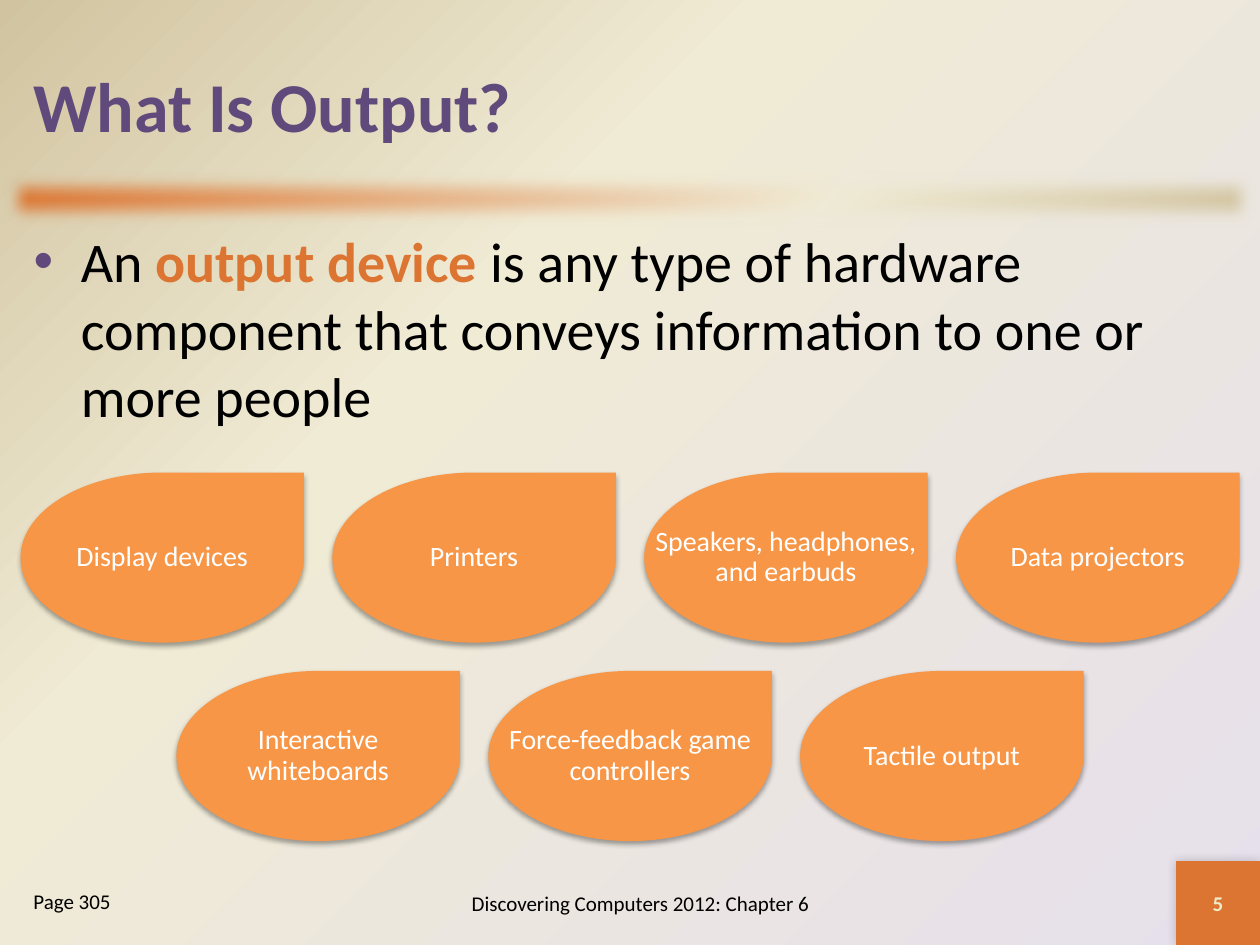
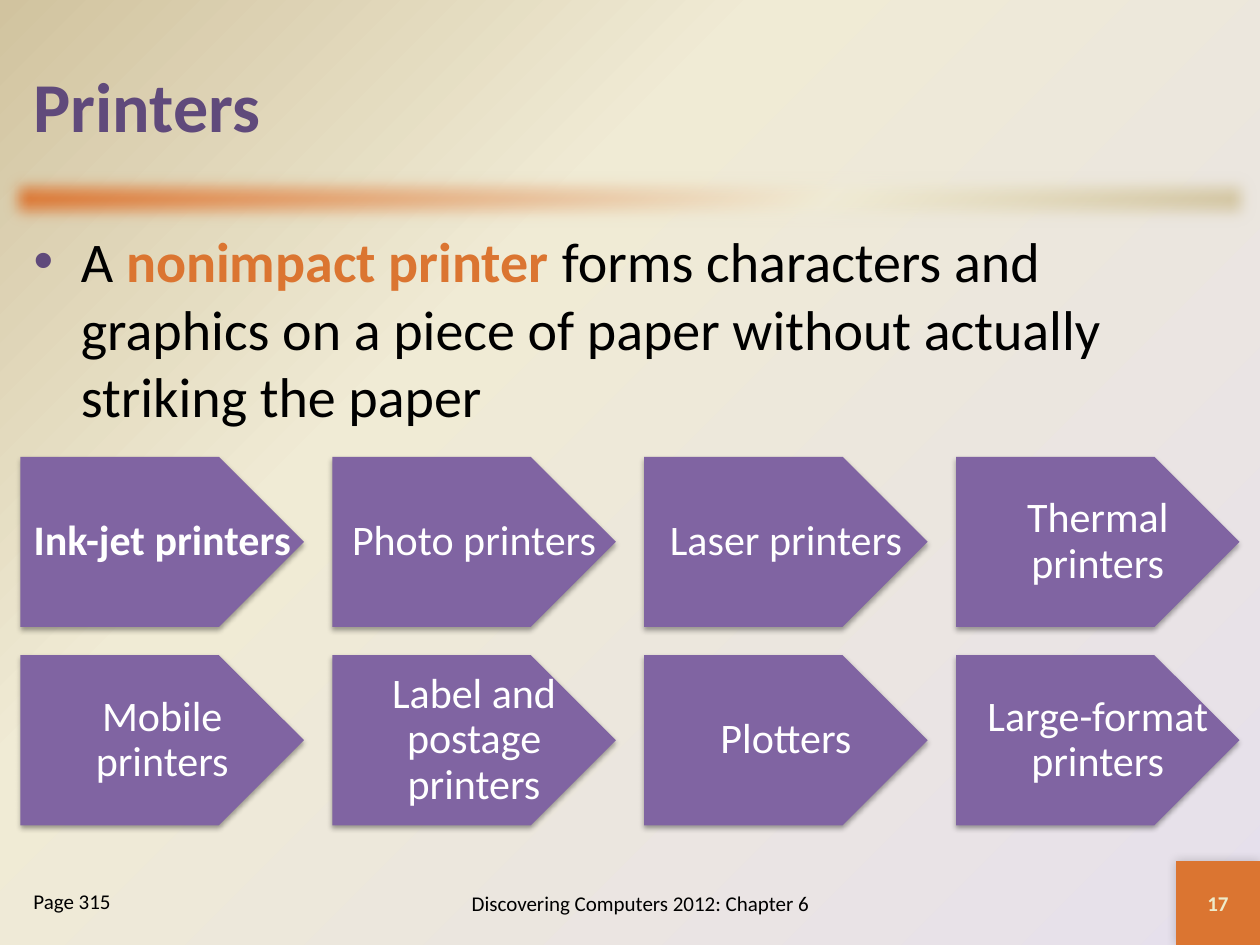
from lxml import etree
from pptx import Presentation
from pptx.dml.color import RGBColor
from pptx.enum.shapes import MSO_SHAPE
from pptx.enum.text import MSO_ANCHOR, MSO_AUTO_SIZE, PP_ALIGN
from pptx.oxml import parse_xml
from pptx.oxml.ns import nsdecls, qn
from pptx.util import Pt

COLORS = {
    "heading": "604A7B",
    "accent": "DB7531",
    "cream": "F0EBD5",
    "sand": "D1C39F",
    "lilac": "E6E0EC",
    "text": "000000",
    "page_number": "EEEBCA",
    "orange": "F79646",
    "purple": "8064A2",
    "white": "FFFFFF",
}
SLIDE_WIDTH, SLIDE_HEIGHT = 720, 540
CARD_WIDTH, CARD_HEIGHT = 162, 97.2
CARD_GAP = 16.2
MARGIN = 12
CORNER = 48
FOOTER = "Discovering Computers 2012: Chapter 6"

topics = [
    {
        "title": "What Is Output?",
        "definition": ("An ", "output device ",
                       "is any type of hardware component that conveys "
                       "information to one or more people"),
        "page": "Page 305",
        "number": "5",
        "card": MSO_SHAPE.TEAR,
        "fill": "orange",
        "top": 270,
        "size": 16,
        "inset": 5,
        "current": None,
        "rows": [
            ["Display devices", "Printers",
             "Speakers, headphones, and earbuds", "Data projectors"],
            ["Interactive whiteboards", "Force-feedback game controllers",
             "Tactile output"],
        ],
    },
    {
        "title": "Printers",
        "definition": ("A ", "nonimpact printer ",
                       "forms characters and graphics on a piece of paper "
                       "without actually striking the paper"),
        "page": "Page 315",
        "number": "17",
        "card": MSO_SHAPE.PENTAGON,
        "fill": "purple",
        "top": 261,
        "size": 24,
        "inset": 7.2,
        "current": "Ink-jet printers",
        "rows": [
            ["Ink-jet printers", "Photo printers", "Laser printers",
             "Thermal printers"],
            ["Mobile printers", "Label and postage printers", "Plotters",
             "Large-format printers"],
        ],
    },
]


def add_plain_shape(shapes, kind, box, color, effect):
    """Add a shape without outline, with one DrawingML effect."""
    shape = shapes.add_shape(kind, *map(Pt, box))
    shape.fill.solid()
    shape.fill.fore_color.rgb = RGBColor.from_string(COLORS[color])
    shape.line.fill.background()
    shape.shadow.inherit = False
    shape.element.spPr.find(qn("a:effectLst")).append(parse_xml(effect))
    return shape


def write_text(box, text, color, align=PP_ALIGN.LEFT, **formats):
    """Write one run at the end of the first paragraph of a box."""
    frame = box.text_frame
    frame.word_wrap = True
    frame.auto_size = MSO_AUTO_SIZE.NONE
    paragraph = frame.paragraphs[0]
    paragraph.alignment = align
    paragraph.space_before = Pt(0)
    run = paragraph.add_run()
    run.text = text
    run.font.color.rgb = RGBColor.from_string(COLORS[color])
    for name, value in {"name": "Calibri", "bold": False, **formats}.items():
        setattr(run.font, name, value)
    return paragraph


shadow = ('<a:outerShdw {ns} blurRad="{blur}" dist="{dist}" dir="{angle}" '
          'rotWithShape="0"><a:srgbClr val="000000"><a:alpha val="{alpha}"/>'
          '</a:srgbClr></a:outerShdw>')
card_shadow = shadow.format(ns=nsdecls("a"), blur=Pt(3.1), dist=Pt(1.8),
                            angle=90 * 60000, alpha=35000)
corner_shadow = shadow.format(ns=nsdecls("a"), blur=Pt(6), dist=0,
                              angle=225 * 60000, alpha=20000)
soft_edge = f'<a:softEdge {nsdecls("a")} rad="{Pt(10)}"/>'

prs = Presentation()
prs.slide_width, prs.slide_height = Pt(SLIDE_WIDTH), Pt(SLIDE_HEIGHT)
layout = prs.slide_layouts[1]
slides = [prs.slides.add_slide(layout) for _ in topics]

# Background, title band and corner belong to the master and layout
band = add_plain_shape(slides[0].shapes, MSO_SHAPE.RECTANGLE,
                       (0, 96, SLIDE_WIDTH, 36), "accent", soft_edge)
corner = add_plain_shape(
    slides[0].shapes, MSO_SHAPE.RECTANGLE,
    (SLIDE_WIDTH - CORNER, SLIDE_HEIGHT - CORNER, CORNER, CORNER),
    "accent", corner_shadow)
for part in (band, corner):
    layout.element.cSld.spTree.append(part.element)

master = prs.slide_master
master.background.fill.gradient()
band.fill.gradient()
radial = ('<a:path path="circle"><a:fillToRect l="100000" t="100000"/></a:path>'
          '<a:tileRect r="-100000" b="-100000"/>')
diagonal = f'<a:lin ang="{45 * 60000}" scaled="0"/>'
for owner, start, direction in ((master.element, "lilac", radial),
                                (band.element, "accent", diagonal)):
    gradient = owner.xpath(".//a:gradFill")[0]
    stops = "".join(
        f'<a:gs pos="{position * 1000}"><a:srgbClr val="{COLORS[color]}"/></a:gs>'
        for position, color in ((0, start), (65, "cream"), (100, "sand")))
    filled = parse_xml(f'<a:gradFill {nsdecls("a")} rotWithShape="1">'
                       f'<a:gsLst>{stops}</a:gsLst>{direction}</a:gradFill>')
    gradient.getparent().replace(gradient, filled)

for slide, topic in zip(slides, topics):
    title, body = slide.placeholders
    for holder, top, height in ((title, 12, 96), (body, 126, 366)):
        holder.left, holder.top = Pt(MARGIN), Pt(top)
        holder.width, holder.height = Pt(SLIDE_WIDTH - 2 * MARGIN), Pt(height)
    title.text_frame.vertical_anchor = MSO_ANCHOR.MIDDLE
    write_text(title, topic["title"], "heading", size=Pt(40), bold=True)

    definition = body.text_frame.paragraphs[0]
    definition.space_before = Pt(0)
    bullet_color = etree.SubElement(definition._p.get_or_add_pPr(), qn("a:buClr"))
    etree.SubElement(bullet_color, qn("a:srgbClr"), val=COLORS["heading"])
    opening, term, meaning = topic["definition"]
    write_text(body, opening, "text", size=Pt(32))
    write_text(body, term, "accent", size=Pt(32), bold=True)
    write_text(body, meaning, "text", size=Pt(32))

    for text, box, color, align, anchor, bold in (
        (FOOTER, (216, 498, 300, 36), "text",
         PP_ALIGN.CENTER, MSO_ANCHOR.MIDDLE, False),
        (topic["number"],
         (SLIDE_WIDTH - CORNER, SLIDE_HEIGHT - CORNER, CORNER, CORNER),
         "page_number", PP_ALIGN.CENTER, MSO_ANCHOR.MIDDLE, True),
        (topic["page"], (MARGIN, 504, 132, 36), "text",
         PP_ALIGN.LEFT, MSO_ANCHOR.TOP, False),
    ):
        note = slide.shapes.add_textbox(*map(Pt, box))
        note.text_frame.vertical_anchor = anchor
        write_text(note, text, color, align, size=Pt(12), bold=bold)

    cards = slide.shapes.add_group_shape().shapes
    for row, labels in enumerate(topic["rows"]):
        row_width = len(labels) * (CARD_WIDTH + CARD_GAP) - CARD_GAP
        row_left = (SLIDE_WIDTH - row_width) / 2
        top = topic["top"] + row * (CARD_HEIGHT + CARD_GAP)
        for column, text in enumerate(labels):
            left = row_left + column * (CARD_WIDTH + CARD_GAP)
            box = (left, top, CARD_WIDTH, CARD_HEIGHT)
            add_plain_shape(cards, topic["card"], box, topic["fill"], card_shadow)
            label = cards.add_textbox(*map(Pt, box))
            for side in ("left", "top", "right", "bottom"):
                setattr(label.text_frame, f"margin_{side}", Pt(topic["inset"]))
            label.text_frame.vertical_anchor = MSO_ANCHOR.MIDDLE
            paragraph = write_text(label, text, "white", PP_ALIGN.CENTER,
                                   size=Pt(topic["size"]),
                                   bold=text == topic["current"])
            paragraph.line_spacing = 0.9

prs.save("out.pptx")
